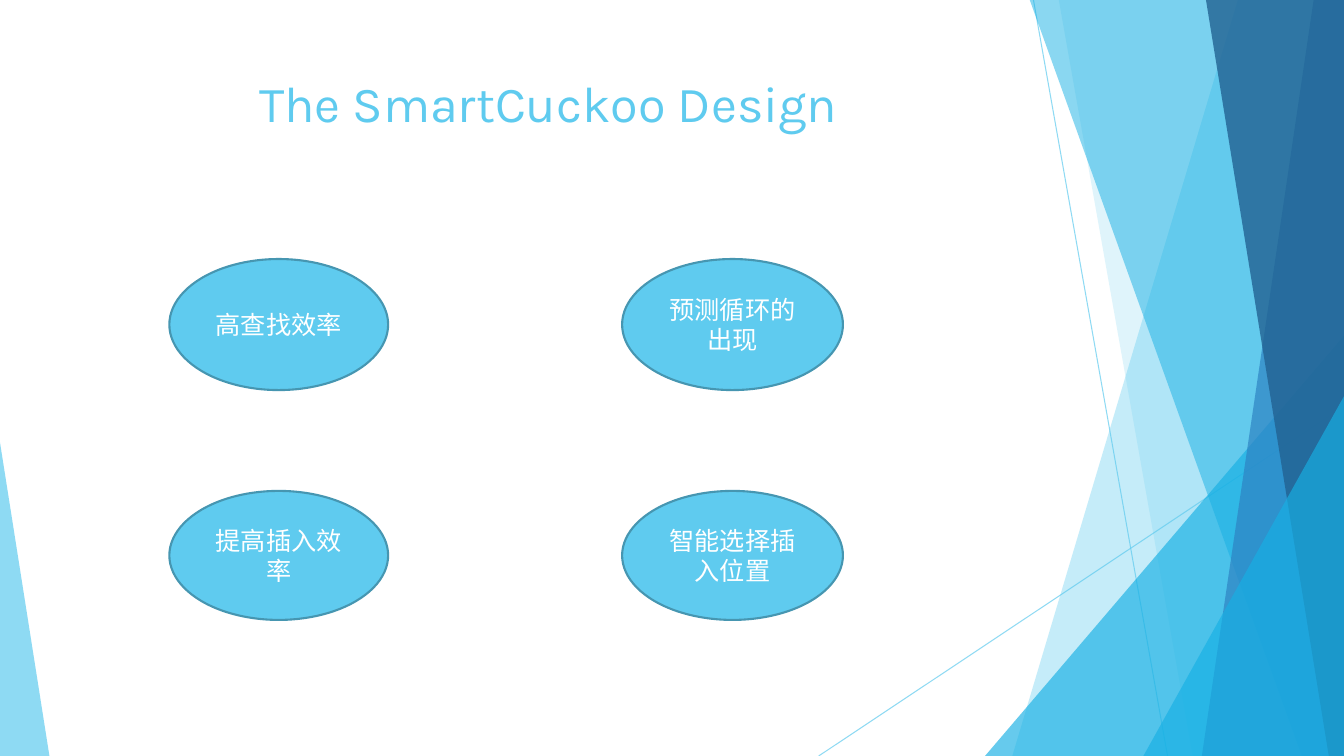
from dataclasses import dataclass
from itertools import product

from lxml import etree
from pptx import Presentation
from pptx.dml.color import RGBColor
from pptx.enum import shapes, text
from pptx.oxml import ns
from pptx.util import Inches, Pt

WIDTH, HEIGHT = 13.33, 7.5
TOP = -0.01
SKY = RGBColor(0x5F, 0xCB, 0xEF)
CYAN = RGBColor(0x17, 0xB0, 0xE4)
BLUE = RGBColor(0x2E, 0x83, 0xC3)
NAVY = RGBColor(0x22, 0x62, 0x92)
OUTLINE = RGBColor(0x46, 0x96, 0xB1)
WHITE = RGBColor(0xFF, 0xFF, 0xFF)


@dataclass(frozen=True)
class Band:
    """Full-height facet from a slanted left edge to the right slide edge."""
    top_x: float
    bottom_x: float
    color: RGBColor
    opacity: int


@dataclass(frozen=True)
class Wedge:
    """Triangle standing on the bottom edge; apex is 0 (left) to 1 (right)."""
    left: float
    top: float
    width: float
    apex: float
    color: RGBColor
    opacity: int


@dataclass(frozen=True)
class Ray:
    start: tuple[float, float]
    end: tuple[float, float]


RAYS = (Ray((10.25, 0), (11.58, HEIGHT)), Ray((WIDTH, 4.03), (8.12, HEIGHT)))
FACETS = (
    Band(12.28, 10.04, SKY, 36),
    Band(10.5, 11.83, SKY, 20),
    Wedge(9.77, 3.33, 3.56, 1, CYAN, 66),
    Band(10.21, 12.91, CYAN, 50),
    Band(13.03, 11.92, BLUE, 70),
    Band(11.96, 13.18, NAVY, 80),
    Wedge(11.34, 3.93, 1.99, 1, CYAN, 66),
    Wedge(0, 4.39, 0.49, 0, SKY, 70),
)
COLUMNS = ((1.68, 2.17), (6.17, 2.19))  # left, width
ROWS = ((2.57, 1.3), (4.87, 1.28))  # top, height
GOALS = ("高查找效率", "提高插入效率", "预测循环的出现", "智能选择插入位置")


def set_opacity(element, percent: int) -> None:
    color = next(element.iter(ns.qn("a:srgbClr")))
    etree.SubElement(color, ns.qn("a:alpha"), val=str(percent * 1000))


def draw_ray(page, ray: Ray) -> None:
    line = page.shapes.add_connector(
        shapes.MSO_CONNECTOR.STRAIGHT,
        *(Inches(value) for value in ray.start + ray.end))
    line.line.color.rgb = SKY
    line.line.width = Pt(0.75)
    set_opacity(line.element, 70)
    etree.SubElement(line.element.spPr, ns.qn("a:effectLst"))


def draw_facet(page, facet: Band | Wedge) -> None:
    if isinstance(facet, Band):
        corners = [(facet.top_x, TOP), (WIDTH, TOP),
                   (WIDTH, HEIGHT), (facet.bottom_x, HEIGHT)]
        points = [(Inches(x), Inches(y)) for x, y in corners]
        builder = page.shapes.build_freeform(*points[0])
        builder.add_line_segments(points[1:], close=True)
        shape = builder.convert_to_shape()
    else:
        shape = page.shapes.add_shape(
            shapes.MSO_SHAPE.ISOSCELES_TRIANGLE, Inches(facet.left),
            Inches(facet.top), Inches(facet.width), Inches(HEIGHT - facet.top))
        shape.adjustments[0] = facet.apex
    shape.shadow.inherit = False
    shape.fill.solid()
    shape.fill.fore_color.rgb = facet.color
    set_opacity(shape.element.spPr, facet.opacity)
    shape.line.fill.background()


def write_text(shape, words: str, size: int, color: RGBColor,
               anchor: text.MSO_ANCHOR) -> None:
    frame = shape.text_frame
    frame.word_wrap = True
    frame.auto_size = text.MSO_AUTO_SIZE.NONE
    frame.vertical_anchor = anchor
    para = frame.paragraphs[0]
    para.alignment = text.PP_ALIGN.CENTER
    span = para.add_run()
    span.text = words
    for name, value in {"name": "Karla", "size": Pt(size)}.items():
        setattr(span.font, name, value)
    span.font.color.rgb = color


def draw_title(page) -> None:
    title = page.shapes.title
    box = {"left": 0.74, "top": 0.67, "width": 9.4, "height": 1.44}
    for name, value in box.items():
        setattr(title, name, Inches(value))
    write_text(title, "The SmartCuckoo Design", 36, SKY, text.MSO_ANCHOR.TOP)
    title.element.getparent().append(title.element)  # in front of the facets


def draw_goal(page, column: tuple[float, float], row: tuple[float, float],
              words: str) -> None:
    (left, width), (top, height) = column, row
    oval = page.shapes.add_shape(
        shapes.MSO_SHAPE.OVAL,
        *(Inches(value) for value in (left, top, width, height)))
    oval.shadow.inherit = False
    oval.fill.solid()
    oval.fill.fore_color.rgb = SKY
    oval.line.color.rgb = OUTLINE
    oval.line.width = Pt(1.5)
    write_text(oval, words, 18, WHITE, text.MSO_ANCHOR.MIDDLE)


def main() -> None:
    deck = Presentation()
    deck.slide_width, deck.slide_height = Inches(WIDTH), Inches(HEIGHT)
    page = deck.slides.add_slide(deck.slide_layouts.get_by_name("Title Only"))
    for ray in RAYS:
        draw_ray(page, ray)
    for facet in FACETS:
        draw_facet(page, facet)
    draw_title(page)
    for (column, row), words in zip(product(COLUMNS, ROWS), GOALS):
        draw_goal(page, column, row, words)
    deck.save("out.pptx")


if __name__ == "__main__":
    main()
